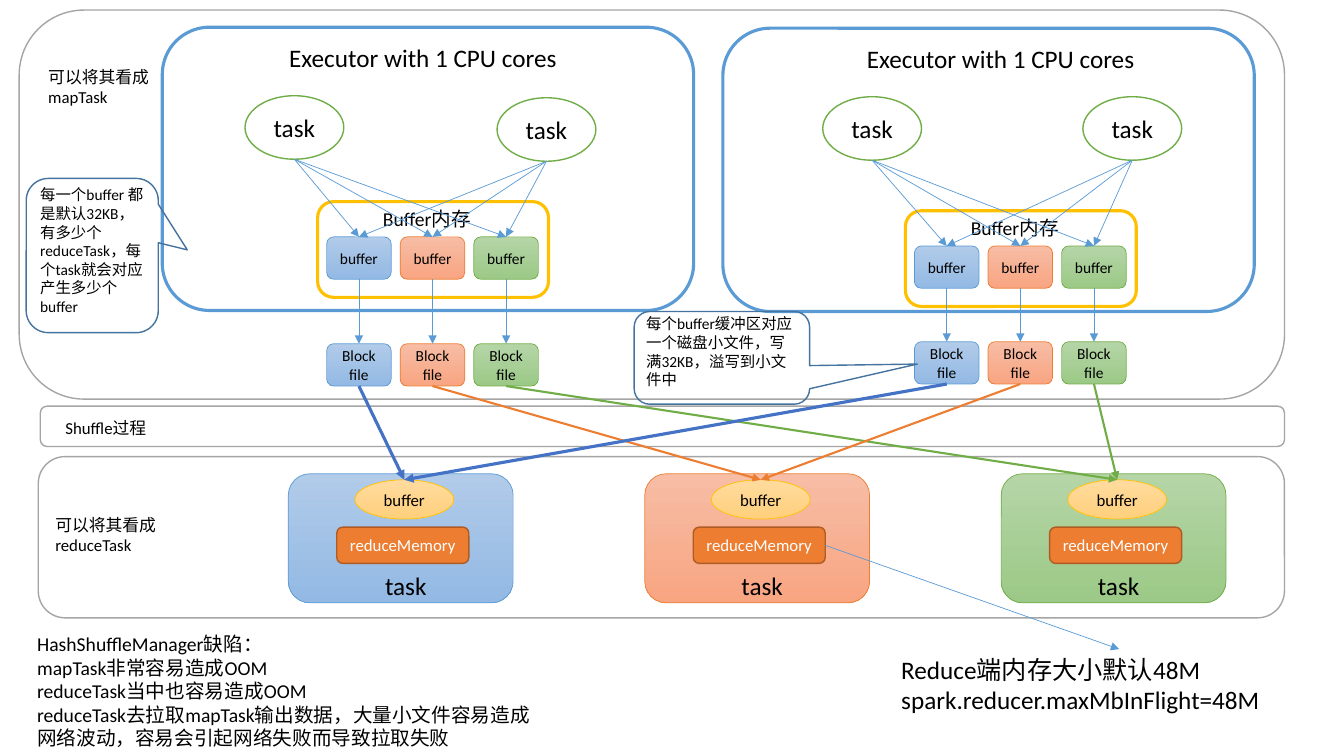
from lxml import etree
from pptx import Presentation
from pptx.dml.color import RGBColor
from pptx.enum.shapes import MSO_CONNECTOR as Connector, MSO_SHAPE as Shape
from pptx.enum.text import MSO_ANCHOR as Anchor, PP_ALIGN as Align
from pptx.oxml.ns import qn
from pptx.util import Inches, Pt

COLORS = {
    "white": "FFFFFF", "black": "000000", "gray": "A5A5A5", "gold": "FFC000",
    "blue": "5B9BD5", "orange": "ED7D31", "green": "70AD47",
    "royal": "4472C4", "rust": "AF5C24", "navy": "43739E",
    "blue top": "B1CBE9", "blue bottom": "93B9E4",
    "orange top": "F7BDA5", "orange bottom": "F8A582",
    "green top": "B5D5A7", "green bottom": "9CC987",
    "gold top": "FFDB9E", "gold bottom": "FFD07C",
}
FONT, CALLOUT_FONT = "Calibri", "Noto Sans CJK SC"

PARTITIONS = ["blue", "orange", "green"]
FETCH_LINES = [("royal", 2.25), ("orange", 1.5), ("green", 1.5)]
STAGES = [
    (0.4, 4.03, 12.34, 0.4),
    (0.19, 0.1, 12.55, 3.86),
    (0.38, 4.53, 12.36, 1.6),
]
EXECUTORS = [
    {"corner": (1.61, 0.27), "title": 2.77, "tasks": [(2.43, 0.95), (4.93, 0.97)],
     "memory": (3.15, 2.0), "files": 3.41},
    {"corner": (7.17, 0.28), "title": 8.5, "tasks": [(8.16, 0.96), (10.74, 0.96)],
     "memory": (8.98, 2.09), "files": 3.39},
]
LABELS = [
    ((0.45, 5.06, 1.29, 0.5), 12, ["可以将其看成reduceTask"]),
    ((0.38, 0.61, 1.29, 0.5), 12, ["可以将其看成mapTask"]),
    ((0.55, 4.1, 1.29, 0.3), 12, ["Shuffle过程"]),
    ((0.27, 6.22, 5.2, 1.28), 14, [
        "HashShuffleManager缺陷：",
        "mapTask非常容易造成OOM",
        "reduceTask当中也容易造成OOM",
        "reduceTask去拉取mapTask输出数据，大量小文件容易造成网络波动，容易会引起网络失败而导致拉取失败",
    ]),
    ((8.84, 6.44, 4.51, 0.71), 18, ["Reduce端内存大小默认48M", "spark.reducer.maxMbInFlight=48M"]),
]
CALLOUTS = [
    ((0.3, 1.79, 1.23, 1.4), (0.15, 1.88, 1.53, 1.31), (0.037, 0.72, 0.167),
     "每一个buffer 都是默认32KB，有多少个reduceTask，每个task就会对应产生多少个buffer"),
    ((6.31, 3.07, 1.72, 0.84), (6.7, 2.68, 0.92, 1.74), (-0.067, 1.114, 0.167),
     "每个buffer缓冲区对应一个磁盘小文件，写满32KB，溢写到小文件中"),
]
EXECUTOR_SIZE = (5.27, 2.81)
MAP_TASK_SIZE = (0.98, 0.63)
MEMORY_SIZE = (2.29, 0.95)
CELL_SIZE = (0.64, 0.42)
CELL_PITCH = 0.73
REDUCER_LEFT, REDUCER_TOP, REDUCER_PITCH = 2.86, 4.7, 3.535
MAX_MEMORY_POINT = (11.1, 6.44)

presentation = Presentation()
presentation.slide_width, presentation.slide_height = Inches(13.33), Inches(7.5)
slide = presentation.slides.add_slide(presentation.slide_layouts[6])


def color(name):
    return RGBColor.from_string(COLORS[name])


def write(frame, lines, size, text_color="black", align=Align.LEFT):
    frame.word_wrap = True
    for index, line in enumerate(lines):
        paragraph = frame.add_paragraph() if index else frame.paragraphs[0]
        paragraph.text = line
        paragraph.alignment = align
        paragraph.font.size = Pt(size)
        paragraph.font.name = FONT
        paragraph.font.color.rgb = color(text_color)


def add_text(box, lines, size):
    frame = slide.shapes.add_textbox(*map(Inches, box)).text_frame
    write(frame, lines, size)
    return frame


def add_box(kind, box, fill, line, width, lines=(), size=11, text_color="black"):
    shape = slide.shapes.add_shape(kind, *map(Inches, box))
    shape.shadow.inherit = False
    if fill is None:
        shape.fill.background()
    elif f"{fill} top" in COLORS and line == fill:
        shape.fill.gradient()
        shape.fill.gradient_angle = 270
        for stop, end in zip(shape.fill.gradient_stops, ("top", "bottom")):
            stop.color.rgb = color(f"{fill} {end}")
    else:
        shape.fill.solid()
        shape.fill.fore_color.rgb = color(fill)
    shape.line.color.rgb = color(line)
    shape.line.width = Pt(width)
    if lines:
        shape.text_frame.vertical_anchor = Anchor.MIDDLE
        write(shape.text_frame, lines, size, text_color, Align.CENTER)
    return shape


def bottom_middle(shape):
    return shape.left + shape.width // 2, shape.top + shape.height


def add_arrow(start_point, end_point, line="blue", width=0.5):
    arrow = slide.shapes.add_connector(Connector.STRAIGHT, *start_point, *end_point)
    arrow.line.color.rgb = color(line)
    arrow.line.width = Pt(width)
    properties = arrow._element.spPr
    etree.SubElement(properties.find(qn("a:ln")), qn("a:tailEnd"), type="triangle")
    etree.SubElement(properties, qn("a:effectLst"))
    return arrow


def join_down(start, end, line="blue", width=0.5):
    arrow = add_arrow(bottom_middle(start), (end.left + end.width // 2, end.top), line, width)
    if start.auto_shape_type == Shape.ROUNDED_RECTANGLE:
        arrow.begin_connect(start, 2)
    arrow.end_connect(end, 0)


def add_cells(left, top, lines):
    return [add_box(Shape.ROUNDED_RECTANGLE, (left + column * CELL_PITCH, top, *CELL_SIZE),
                    name, name, 0.5, lines)
            for column, name in enumerate(PARTITIONS)]


def add_executor(corner, title, tasks, memory, files):
    add_box(Shape.ROUNDED_RECTANGLE, (*corner, *EXECUTOR_SIZE), "white", "blue", 2.25)
    map_tasks = [add_box(Shape.OVAL, (*task, *MAP_TASK_SIZE), "white", "green", 1, ["task"], 18)
                 for task in tasks]
    add_text((title, corner[1] + 0.1, 2.94, 0.4), ["Executor with 1 CPU cores"], 18)
    left, top = memory
    add_box(Shape.ROUNDED_RECTANGLE, (*memory, *MEMORY_SIZE), "white", "gold", 2.25)
    buffers = add_cells(left + 0.09, top + 0.35, ["buffer"])
    add_text((left + 0.55, top, 1.12, 0.34), ["Buffer内存"], 14)
    block_files = add_cells(left + 0.09, files, ["Block", "file"])
    for buffer, block_file in zip(buffers, block_files):
        join_down(buffer, block_file)
        for map_task in map_tasks:
            join_down(map_task, buffer)
    return block_files


def add_reducer(column, name):
    left = REDUCER_LEFT + column * REDUCER_PITCH
    top = REDUCER_TOP
    add_box(Shape.ROUNDED_RECTANGLE, (left, top, 2.23, 1.28), name, name, 0.5)
    buffer = add_box(Shape.OVAL, (left + 0.66, top + 0.06, 0.98, 0.39),
                     "gold", "gold", 0.5, ["buffer"], 12)
    memory = add_box(Shape.ROUNDED_RECTANGLE, (left + 0.48, top + 0.53, 1.31, 0.36),
                     "orange", "rust", 1, ["reduceMemory"], 12, "white")
    add_text((left + 0.86, top + 0.91, 0.92, 0.4), ["task"], 18)
    return buffer, memory


def add_callout(text_box, bubble_box, adjustments, text):
    paragraph = add_text(text_box, [text], 11).paragraphs[0]
    paragraph.line_spacing = Pt(13.3)
    for run in paragraph.runs:
        etree.SubElement(run._r.get_or_add_rPr(), qn("a:ea"), typeface=CALLOUT_FONT)
    bubble = add_box(Shape.ROUNDED_RECTANGULAR_CALLOUT, bubble_box, None, "navy", 1)
    bubble.rotation = 270
    for index, value in enumerate(adjustments):
        bubble.adjustments[index] = value


for stage in STAGES:
    add_box(Shape.ROUNDED_RECTANGLE, stage, "white", "gray", 1)
file_rows = [add_executor(**executor) for executor in EXECUTORS]
reducers = [add_reducer(column, name) for column, name in enumerate(PARTITIONS)]
for block_files in file_rows:
    for block_file, (buffer, _), (line, width) in zip(block_files, reducers, FETCH_LINES):
        join_down(block_file, buffer, line, width)
for box, size, lines in LABELS:
    add_text(box, lines, size)
for callout in CALLOUTS:
    add_callout(*callout)
middle_memory = reducers[1][1]
add_arrow((0, 0), map(Inches, MAX_MEMORY_POINT)).begin_connect(middle_memory, 3)

presentation.save("out.pptx")
